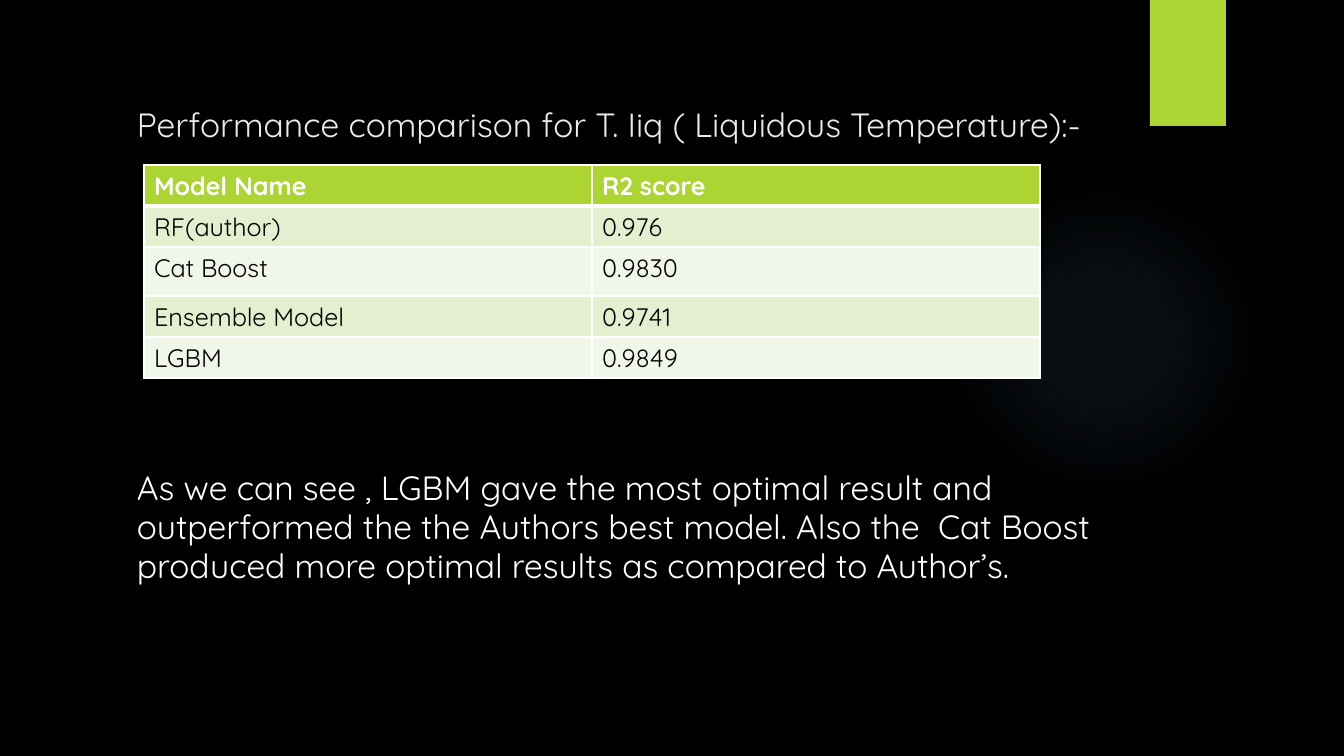
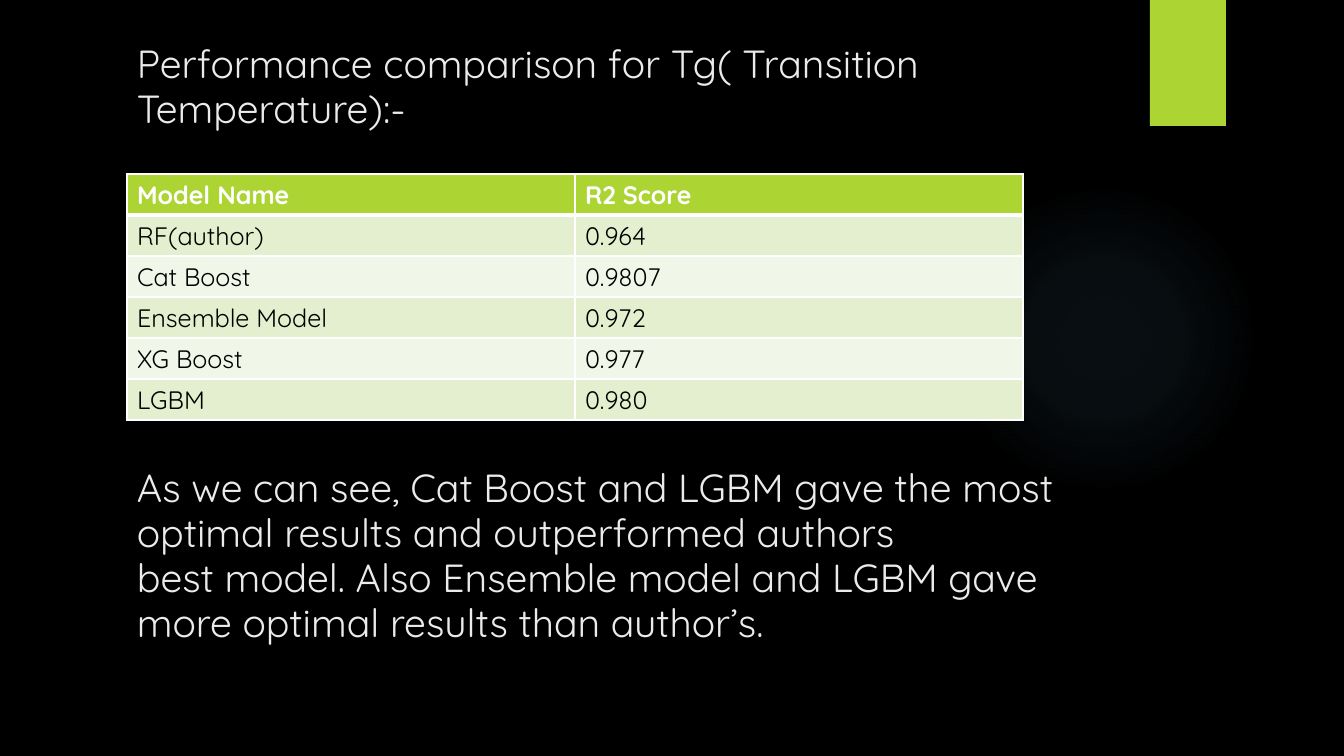
from lxml import etree
from pptx import Presentation
from pptx import util as u
from pptx.dml.color import RGBColor
from pptx.enum import shapes, text
from pptx.oxml import ns

PX = 914400 / 100.8  # EMU per px
FONT = "Quicksand"

BLACK = RGBColor(0x00, 0x00, 0x00)
WHITE = RGBColor(0xFF, 0xFF, 0xFF)
SOFT_WHITE = RGBColor(0xEB, 0xEB, 0xEB)
GREEN = RGBColor(0xAC, 0xD4, 0x33)
GREEN_PALE = RGBColor(0xE3, 0xEF, 0xCE)
GREEN_FAINT = RGBColor(0xF1, 0xF7, 0xE8)
GLOW_BLUE = RGBColor(0x7A, 0xC4, 0xF0)

TEXT_LEFT, TEXT_WIDTH = 137, 954
COL_WIDTH, ROW_HEIGHT = 448, 41


def px(n):
    return u.Emu(round(n * PX))


def sub(parent, tag, **attrs):
    """Append a DrawingML child element."""
    return etree.SubElement(parent, ns.qn("a:" + tag),
                            {k: str(v) for k, v in attrs.items()})


def add_color(parent, color, alpha=None):
    clr = sub(parent, "srgbClr", val=color)
    if alpha is not None:
        sub(clr, "alpha", val=alpha * 1000)


def write(tf, content, size=18, color=BLACK, bold=False, spacing=None):
    """Fill a text frame with one formatted paragraph; \\v breaks the line."""
    p = tf.paragraphs[0]
    p.text = content
    p.alignment = text.PP_ALIGN.LEFT
    if spacing:
        p.line_spacing = spacing
    for r in p.runs:
        r.font.name = FONT
        r.font.size = u.Pt(size)
        r.font.bold = bold
        r.font.color.rgb = color


class Deck:
    def __init__(self):
        self.prs = Presentation()
        self.prs.slide_width, self.prs.slide_height = px(1344), px(756)
        self.s = None

    def slide(self):
        """Start a slide with the shared background, glow and tab."""
        self.s = self.prs.slides.add_slide(self.prs.slide_layouts[6])
        fill = self.s.background.fill
        fill.solid()
        fill.fore_color.rgb = BLACK
        self.glow(949, 184, 310)
        self.tab(1150, 0, 76, 126)

    def shape(self, kind, x, y, w, h):
        sp = self.s.shapes.add_shape(kind, px(x), px(y), px(w), px(h))
        sp.shadow.inherit = False
        sp.line.fill.background()
        return sp

    def glow(self, x, y, size):
        sp = self.shape(shapes.MSO_SHAPE.OVAL, x, y, size, size)
        sp.fill.background()
        spPr = sp._element.spPr
        grad = etree.Element(ns.qn("a:gradFill"), rotWithShape="1")
        stops = sub(grad, "gsLst")
        for pos, alpha in ((0, 7), (36, 6), (69, 0)):
            add_color(sub(stops, "gs", pos=pos * 1000), GLOW_BLUE, alpha)
        sub(sub(grad, "path", path="circle"), "fillToRect",
            l=50000, t=50000, r=50000, b=50000)
        spPr.replace(spPr.find(ns.qn("a:noFill")), grad)

    def tab(self, x, y, w, h):
        sp = self.shape(shapes.MSO_SHAPE.RECTANGLE, x, y, w, h)
        sp.fill.solid()
        sp.fill.fore_color.rgb = GREEN
        effects = sp._element.spPr.find(ns.qn("a:effectLst"))
        shadow = sub(effects, "outerShdw", blurRad=u.Pt(3), dist=u.Pt(2),
                     dir=5400000, rotWithShape=0)
        add_color(shadow, BLACK, 45)

    def text(self, y, h, content, **fmt):
        box = self.s.shapes.add_textbox(px(TEXT_LEFT), px(y), px(TEXT_WIDTH), px(h))
        tf = box.text_frame
        tf.word_wrap = True
        tf.margin_left = tf.margin_right = tf.margin_top = tf.margin_bottom = 0
        write(tf, content, spacing=0.96, **fmt)

    def table(self, x, y, rows, heights=None):
        """Header row plus banded rows; heights maps row index to px."""
        row_px = [(heights or {}).get(i, ROW_HEIGHT) for i in range(len(rows))]
        n_cols = len(rows[0])
        table = self.s.shapes.add_table(len(rows), n_cols, px(x), px(y),
                                        px(COL_WIDTH * n_cols), px(sum(row_px))).table
        for col in table.columns:
            col.width = px(COL_WIDTH)
        for i, values in enumerate(rows):
            table.rows[i].height = px(row_px[i])
            header = i == 0
            for j, value in enumerate(values):
                cell = table.cell(i, j)
                cell.fill.solid()
                cell.fill.fore_color.rgb = (GREEN if header else
                                            GREEN_PALE if i % 2 else GREEN_FAINT)
                write(cell.text_frame, value, bold=header,
                      color=WHITE if header else BLACK)
                self.borders(cell, top=3 if i == 1 else 1, bottom=3 if header else 1)

    def borders(self, cell, top, bottom):
        tcPr = cell._tc.get_or_add_tcPr()
        for k, (side, width) in enumerate((("L", 1), ("R", 1), ("T", top), ("B", bottom))):
            ln = sub(tcPr, "ln" + side, w=u.Pt(width))
            add_color(sub(ln, "solidFill"), WHITE)
            tcPr.insert(k, ln)


def main():
    deck = Deck()

    # Liquidous temperature
    deck.slide()
    deck.text(107, 42, "Performance comparison for T. Iiq ( Liquidous Temperature):-",
              size=24, color=SOFT_WHITE)
    deck.text(470, 122, "As we can see , LGBM gave the most optimal result and "
              "outperformed the the Authors best model. Also the  Cat Boost "
              "produced more optimal results as compared to Author’s.",
              size=24, color=WHITE)
    deck.table(144, 165, [
        ("Model Name", "R2 score"),
        ("RF(author)", "0.976"),
        ("Cat Boost", "0.9830"),
        ("Ensemble Model", "0.9741"),
        ("LGBM", "0.9849"),
    ], heights={2: 49})

    # Transition temperature
    deck.slide()
    deck.text(42, 96, "Performance comparison for Tg( Transition Temperature):-",
              size=28, color=SOFT_WHITE)
    deck.text(466, 190, "As we can see, Cat Boost and LGBM gave the most optimal "
              "results and outperformed authors\vbest model. Also Ensemble model "
              "and LGBM gave more optimal results than author’s.",
              size=28, color=SOFT_WHITE)
    deck.table(127, 174, [
        ("Model Name", "R2 Score"),
        ("RF(author)", "0.964"),
        ("Cat Boost", "0.9807"),
        ("Ensemble Model", "0.972"),
        ("XG Boost", "0.977"),
        ("LGBM", "0.980"),
    ])

    deck.prs.save("out.pptx")


if __name__ == "__main__":
    main()
